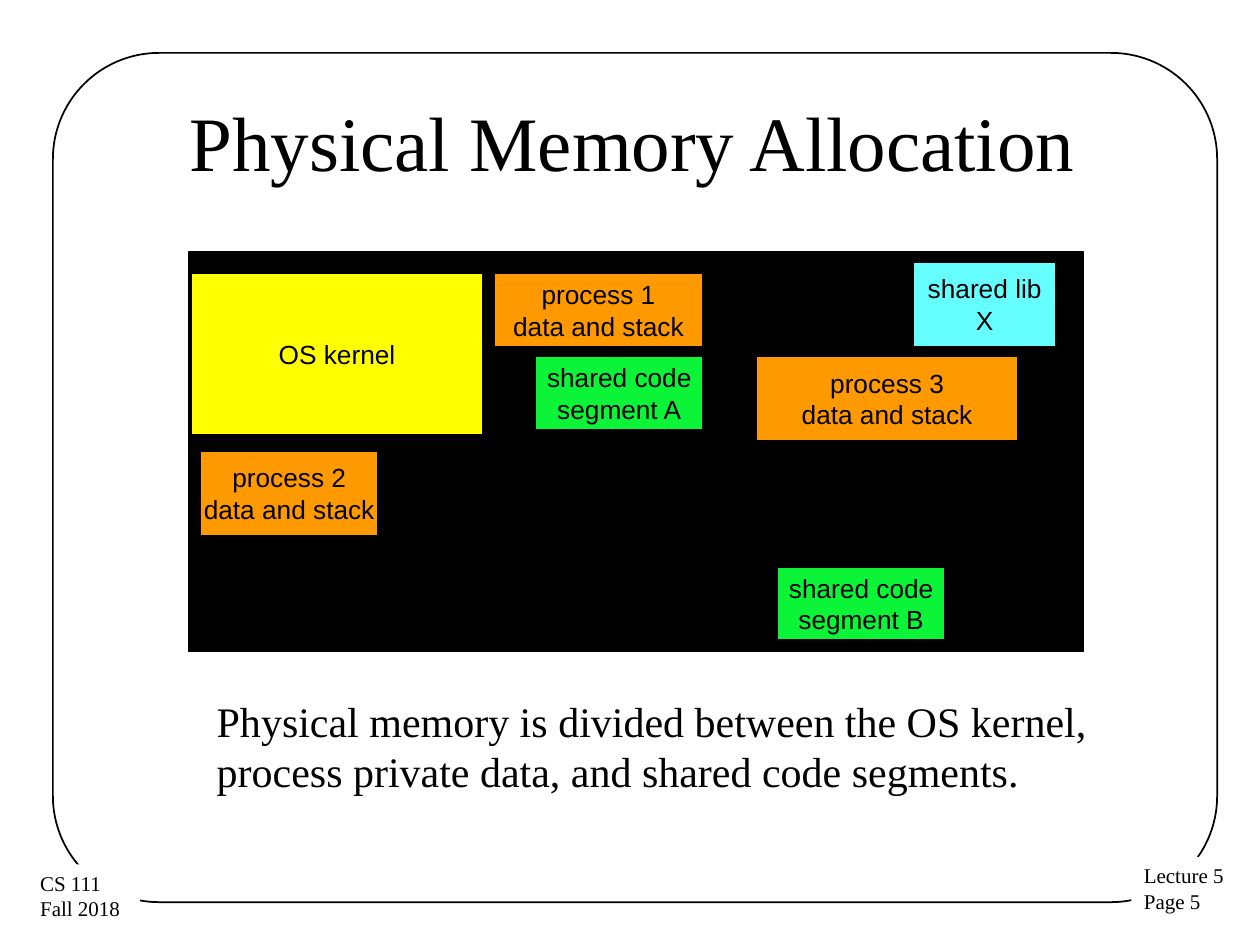
from pptx import Presentation
from pptx.dml.color import RGBColor
from pptx.enum.shapes import MSO_SHAPE
from pptx.enum.text import MSO_ANCHOR, PP_ALIGN
from pptx.util import Inches, Pt

BLACK = RGBColor(0x00, 0x00, 0x00)
WHITE = RGBColor(0xFF, 0xFF, 0xFF)
YELLOW = RGBColor(0xFF, 0xFF, 0x00)
ORANGE = RGBColor(0xFF, 0x99, 0x00)
GREEN = RGBColor(0x0C, 0xF4, 0x38)
CYAN = RGBColor(0x66, 0xFF, 0xFF)
SERIF = "Times New Roman"

SEGMENTS = [
    ("OS kernel", YELLOW, (1.52, 2.17, 2.31, 1.28)),
    ("process 1\ndata and stack", ORANGE, (3.92, 2.17, 1.66, 0.58)),
    ("shared code\nsegment A", GREEN, (4.25, 2.83, 1.33, 0.58)),
    ("shared lib\nX", CYAN, (7.25, 2.08, 1.13, 0.67)),
    ("process 2\ndata and stack", ORANGE, (1.59, 3.58, 1.41, 0.67)),
    ("process 3\ndata and stack", ORANGE, (6, 2.83, 2.08, 0.67)),
    ("shared code\nsegment B", GREEN, (6.17, 4.5, 1.33, 0.58)),
]


def write(shape, text, size=15, font="Arial", align=PP_ALIGN.CENTER,
          anchor=MSO_ANCHOR.MIDDLE, inset=0.09, wrap=False):
    """Fill a shape with text, one paragraph per line."""
    frame = shape.text_frame
    frame.word_wrap = wrap
    frame.vertical_anchor = anchor
    frame.margin_left = frame.margin_right = Inches(inset)
    frame.margin_top = frame.margin_bottom = Inches(0.05)
    frame.text = text
    for para in frame.paragraphs:
        para.alignment = align
        para.font.size = Pt(size)
        para.font.name = font
        para.font.color.rgb = BLACK


def add_box(slide, area, fill=None, line=None, kind=MSO_SHAPE.RECTANGLE):
    """Add a flat shape with an optional fill and outline width."""
    box = slide.shapes.add_shape(kind, *map(Inches, area))
    box.shadow.inherit = False
    if fill is None:
        box.fill.background()
    else:
        box.fill.solid()
        box.fill.fore_color.rgb = fill
    if line is None:
        box.line.fill.background()
    else:
        box.line.color.rgb = BLACK
        box.line.width = Pt(line)
    return box


def add_label(slide, text, area, **style):
    """Add a text box in the serif font."""
    label = slide.shapes.add_textbox(*map(Inches, area))
    write(label, text, font=SERIF, **style)


def add_frame(slide):
    """Add the rounded border and the two corner notes."""
    edge = add_box(slide, (0.42, 0.42, 9.24, 6.74), line=1,
                   kind=MSO_SHAPE.ROUNDED_RECTANGLE)
    edge.adjustments[0] = 0.125
    for text, area in (("Lecture 5\nPage 5", (8.98, 6.8, 0.85, 0.51)),
                       ("CS 111\nFall 2018", (0.22, 6.86, 0.89, 0.51))):
        note = add_box(slide, area, fill=WHITE)
        write(note, text, size=12, font=SERIF, align=PP_ALIGN.LEFT,
              anchor=MSO_ANCHOR.TOP, inset=0.1)


def add_memory(slide):
    """Add the memory block and its allocated segments."""
    add_box(slide, (1.5, 2, 7.1, 3.17), fill=BLACK, line=0.75)
    for text, fill, area in SEGMENTS:
        write(add_box(slide, area, fill=fill, line=0.75), text)


def main():
    """Build and save the slide."""
    deck = Presentation()
    deck.slide_width, deck.slide_height = Inches(10), Inches(7.5)
    slide = deck.slides.add_slide(deck.slide_layouts[6])
    add_frame(slide)
    add_label(slide, "Physical Memory Allocation", (0.13, 0.49, 9.78, 1.25),
              size=44, wrap=True)
    add_memory(slide)
    add_label(slide, "Physical memory is divided between the OS kernel,\n"
              "process private data, and shared code segments.",
              (1.61, 5.47, 7.19, 0.91), size=24, align=PP_ALIGN.LEFT,
              anchor=MSO_ANCHOR.TOP, inset=0.11)
    deck.save("out.pptx")


if __name__ == "__main__":
    main()
